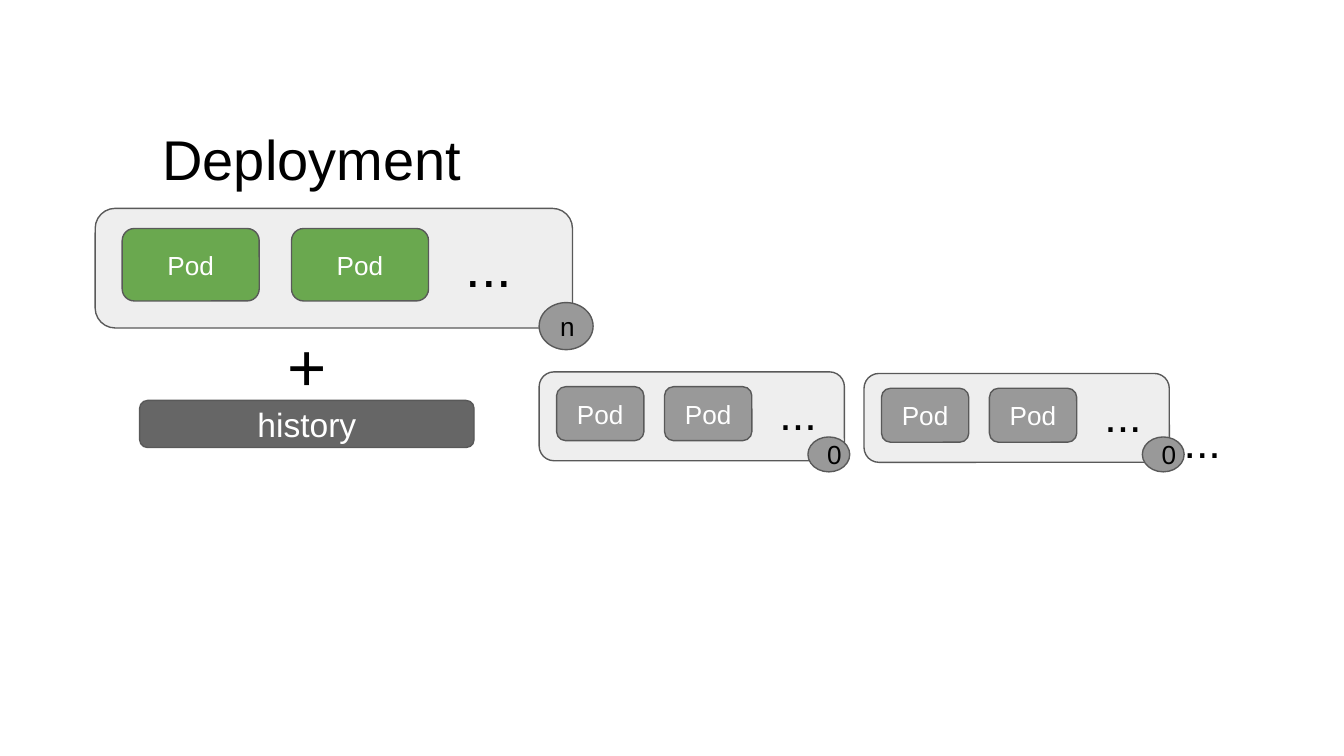
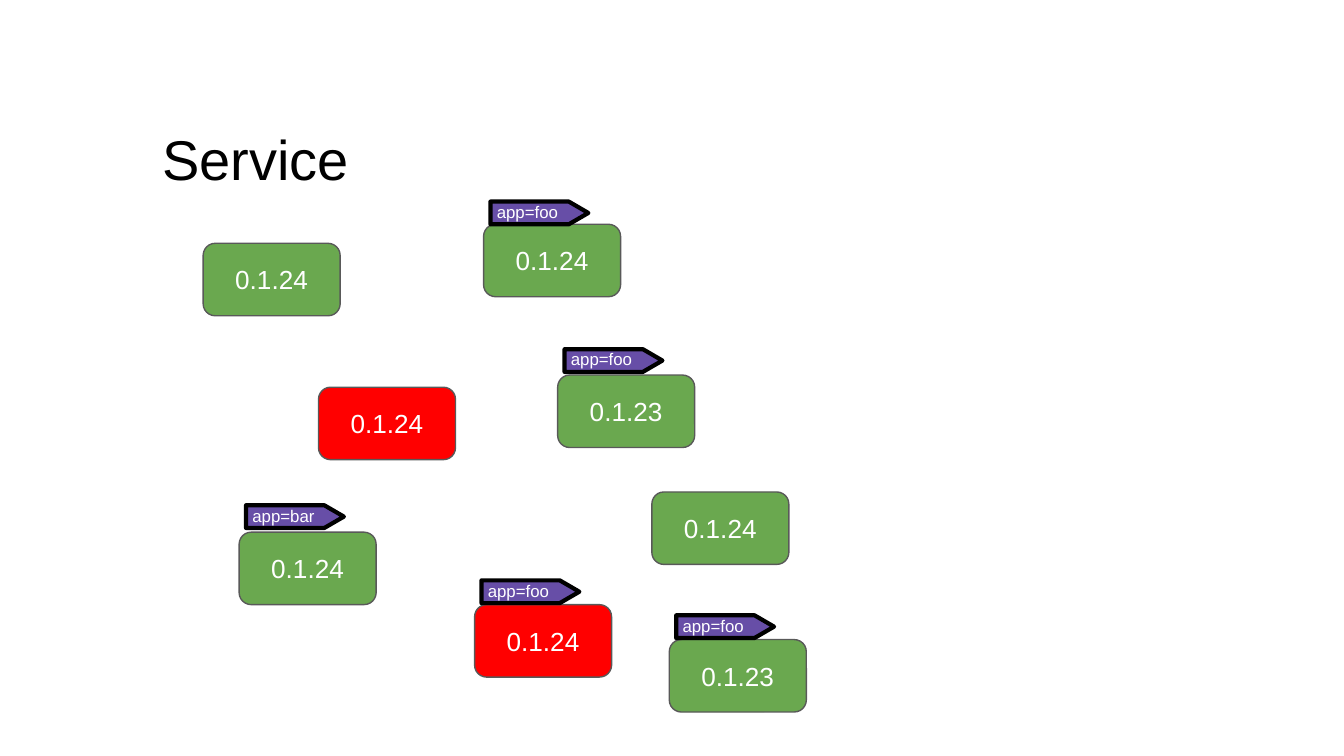
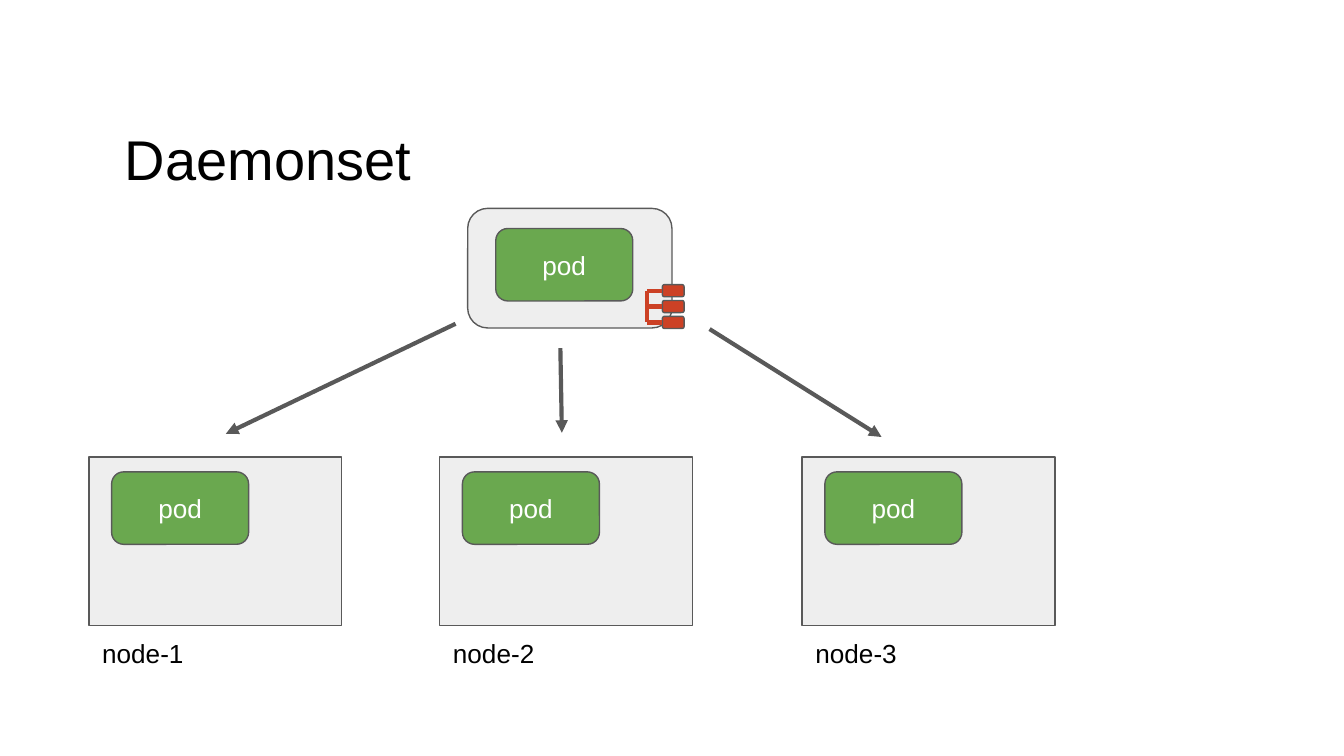
"""Build three slides on Deployment, Service and Daemonset."""
from typing import NamedTuple

from lxml import etree
from pptx import Presentation
from pptx.dml.color import RGBColor
from pptx.enum.shapes import MSO_CONNECTOR, MSO_SHAPE
from pptx.enum.text import MSO_ANCHOR, MSO_AUTO_SIZE, PP_ALIGN
from pptx.oxml.ns import qn
from pptx.util import Cm, Pt

ROUNDED = MSO_SHAPE.ROUNDED_RECTANGLE
RECTANGLE = MSO_SHAPE.RECTANGLE
OVAL = MSO_SHAPE.OVAL
TAG = MSO_SHAPE.FLOWCHART_OFFPAGE_CONNECTOR
STRAIGHT = MSO_CONNECTOR.STRAIGHT
TOP, MIDDLE = MSO_ANCHOR.TOP, MSO_ANCHOR.MIDDLE
LEFT, CENTER = PP_ALIGN.LEFT, PP_ALIGN.CENTER
NO_AUTOFIT = MSO_AUTO_SIZE.NONE

FONT = "Arial"
COLORS = {
    "black": "000000",
    "white": "FFFFFF",
    "panel": "EEEEEE",
    "outline": "595959",
    "running": "6AA84F",
    "failed": "FF0000",
    "retired": "999999",
    "history": "666666",
    "tag": "674EA7",
    "icon": "CC4125",
}
TITLE_ONLY = 5
POD_WIDTH, POD_HEIGHT = 2.59, 1.37
LEFT_SIDE = 1


class SetLayout(NamedTuple):
    """Measures of a replica set, in cm, with offsets from its corner."""
    width: float
    height: float
    pod_left: float
    pod_top: float
    pod_width: float
    pod_height: float
    pod_step: float
    dots: tuple
    dots_size: int
    counter_size: tuple


CURRENT = SetLayout(9.02, 2.26, 0.51, 0.38, POD_WIDTH, POD_HEIGHT, 3.2,
                    (6.5, 0.74, 1.88, 0.66), 30, (1.02, 0.89))
PAST = SetLayout(5.77, 1.68, 0.33, 0.28, 1.65, 1.02, 2.04,
                 (4.17, 0.53, 1.45, 0.48), 24, (0.79, 0.66))

VERSIONS = [
    (9.14, 4.24, "0.1.24", "running", "app=foo", 3.56),
    (4.52, 10.06, "0.1.24", "running", "app=bar", 9.3),
    (6.02, 7.32, "0.1.24", "failed", None, None),
    (3.84, 4.6, "0.1.24", "running", None, None),
    (8.97, 11.43, "0.1.24", "failed", "app=foo", 10.72),
    (12.32, 9.3, "0.1.24", "running", None, None),
    (10.54, 7.09, "0.1.23", "running", "app=foo", 6.35),
    (12.65, 12.09, "0.1.23", "running", "app=foo", 11.38),
]
NODE_LEFTS = [1.68, 8.31, 15.16]
ARROWS = [
    ((8.61, 6.12), (4.27, 8.2)),
    ((10.59, 6.58), (10.62, 8.18)),
    ((13.41, 6.22), (16.66, 8.26)),
]


def rgb(color):
    """Return the RGB value of a named colour."""
    return RGBColor.from_string(COLORS[color])


def write(frame, text, size, color="black", align=LEFT, anchor=TOP):
    """Put one formatted run into a text frame."""
    frame.word_wrap = True
    frame.auto_size = NO_AUTOFIT
    frame.vertical_anchor = anchor
    frame.margin_left = frame.margin_right = Cm(0.25)
    frame.margin_top = frame.margin_bottom = Cm(0.25)
    paragraph = frame.paragraphs[0]
    paragraph.alignment = align
    run = paragraph.add_run()
    run.text = text
    run.font.name = FONT
    run.font.size = Pt(size)
    run.font.color.rgb = rgb(color)


def add_titled_slide(deck, title, left=2.82):
    """Add a slide with its title placeholder in place."""
    slide = deck.slides.add_slide(deck.slide_layouts[TITLE_ONLY])
    heading = slide.shapes.title
    heading.left, heading.top = Cm(left), Cm(2.11)
    heading.width, heading.height = Cm(14.88), Cm(1.83)
    write(heading.text_frame, title, 30)
    return slide


def add_label(slide, text, box, size, **style):
    """Add a text box at (left, top, width, height)."""
    label = slide.shapes.add_textbox(*map(Cm, box))
    write(label.text_frame, text, size, **style)


def add_block(slide, kind, box, fill, line="outline", weight=0.75):
    """Add a filled and outlined preset shape."""
    block = slide.shapes.add_shape(kind, *map(Cm, box))
    block.shadow.inherit = False
    block.fill.solid()
    block.fill.fore_color.rgb = rgb(fill)
    block.line.color.rgb = rgb(line)
    block.line.width = Pt(weight)
    return block


def add_captioned_block(slide, kind, box, fill, text, size=14, color="white"):
    """Add a block with a centred caption."""
    block = add_block(slide, kind, box, fill)
    write(block.text_frame, text, size, color, CENTER, MIDDLE)


def add_pod(slide, left, top, text, fill="running",
            width=POD_WIDTH, height=POD_HEIGHT):
    """Add a pod."""
    add_captioned_block(slide, ROUNDED, (left, top, width, height), fill, text)


def add_replica_set(slide, left, top, layout, fill, count, counter_at):
    """Add a panel with two pods, dots and a replica counter."""
    add_block(slide, ROUNDED, (left, top, layout.width, layout.height), "panel")
    for index in range(2):
        add_pod(slide, left + layout.pod_left + index * layout.pod_step,
                top + layout.pod_top, "Pod", fill,
                layout.pod_width, layout.pod_height)
    dots_left, dots_top, dots_width, dots_height = layout.dots
    add_label(slide, "...",
              (left + dots_left, top + dots_top, dots_width, dots_height),
              layout.dots_size, align=CENTER, anchor=MIDDLE)
    add_captioned_block(slide, OVAL, counter_at + layout.counter_size,
                        "retired", count, color="black")


def add_tag(slide, pod_left, top, text):
    """Add a label tag that points right above a pod."""
    tag = add_block(slide, TAG, (pod_left + 0.84, top - 0.46, 0.43, 1.85),
                    "tag", "black", 2.25)
    tag.rotation = 270
    add_label(slide, text, (pod_left, top, 1.75, 0.79), 9, color="white")


def add_line(slide, start, end, color, arrow=False):
    """Add a straight line, with an arrowhead at its end if asked."""
    line = slide.shapes.add_connector(STRAIGHT, *map(Cm, start + end))
    line.line.color.rgb = rgb(color)
    line.line.width = Pt(2.25)
    properties = line.line._get_or_add_ln()
    if arrow:
        etree.SubElement(properties, qn("a:tailEnd"), type="triangle")
    etree.SubElement(properties.getparent(), qn("a:effectLst"))
    return line


def add_tree_icon(slide):
    """Add the icon of a trunk with three branches."""
    trunk, bar_left, first, step, height = 12.22, 12.52, 5.38, 0.3, 0.23
    middles = [first + index * step + height / 2 for index in range(3)]
    for middle in middles:
        bar = add_block(slide, ROUNDED,
                        (bar_left, middle - height / 2, 0.41, height), "icon")
        branch = add_line(slide, (bar_left, middle), (trunk, middle), "icon")
        branch.begin_connect(bar, LEFT_SIDE)
    add_line(slide, (trunk, middles[0]), (trunk, middles[-1]), "icon")


def build_deployment(deck):
    """Build the slide on deployments and their history."""
    slide = add_titled_slide(deck, "Deployment")
    add_replica_set(slide, 1.8, 3.94, CURRENT, "running", "n", (10.19, 5.72))
    add_label(slide, "+", (5.18, 6.2, 1.22, 1.37), 36, anchor=MIDDLE)
    add_captioned_block(slide, ROUNDED, (2.64, 7.57, 6.32, 0.89),
                        "history", "history", 18)
    add_label(slide, "...", (22.12, 7.57, 1.45, 1.19), 24)
    for left, top, counter_left in [(10.19, 7.03, 15.27), (16.33, 7.06, 21.59)]:
        add_replica_set(slide, left, top, PAST, "retired", "0",
                        (counter_left, 8.26))


def build_service(deck):
    """Build the slide on pods that a service selects by label."""
    slide = add_titled_slide(deck, "Service")
    for left, top, version, state, tag, tag_top in VERSIONS:
        add_pod(slide, left, top, version, state)
        if tag:
            add_tag(slide, left, tag_top, tag)


def build_daemonset(deck):
    """Build the slide on a daemonset with one pod on each node."""
    slide = add_titled_slide(deck, "Daemonset", 2.11)
    for number, left in enumerate(NODE_LEFTS, 1):
        add_block(slide, RECTANGLE, (left, 8.64, 4.78, 3.18), "panel")
        add_label(slide, f"node-{number}", (left, 11.79, 4.11, 0.97), 14)
        add_pod(slide, left + 0.43, 8.92, "pod")
    add_block(slide, ROUNDED, (8.84, 3.94, 3.86, 2.26), "panel")
    add_pod(slide, 9.37, 4.32, "pod")
    add_tree_icon(slide)
    for start, end in ARROWS:
        add_line(slide, start, end, "outline", arrow=True)


def main():
    """Build and save the deck."""
    deck = Presentation()
    deck.slide_width, deck.slide_height = Cm(25.4), Cm(14.29)
    build_deployment(deck)
    build_service(deck)
    build_daemonset(deck)
    deck.save("out.pptx")


if __name__ == "__main__":
    main()
